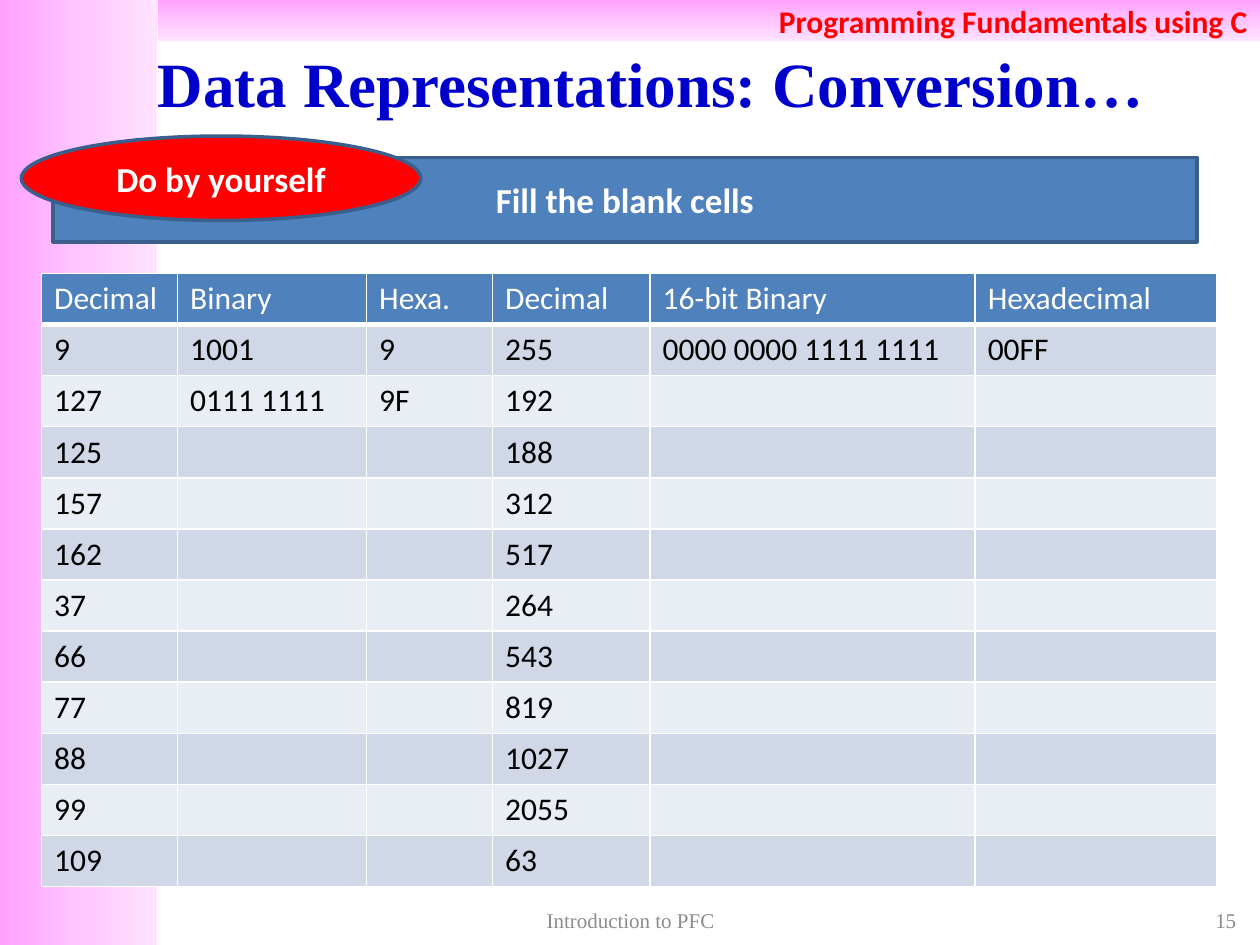
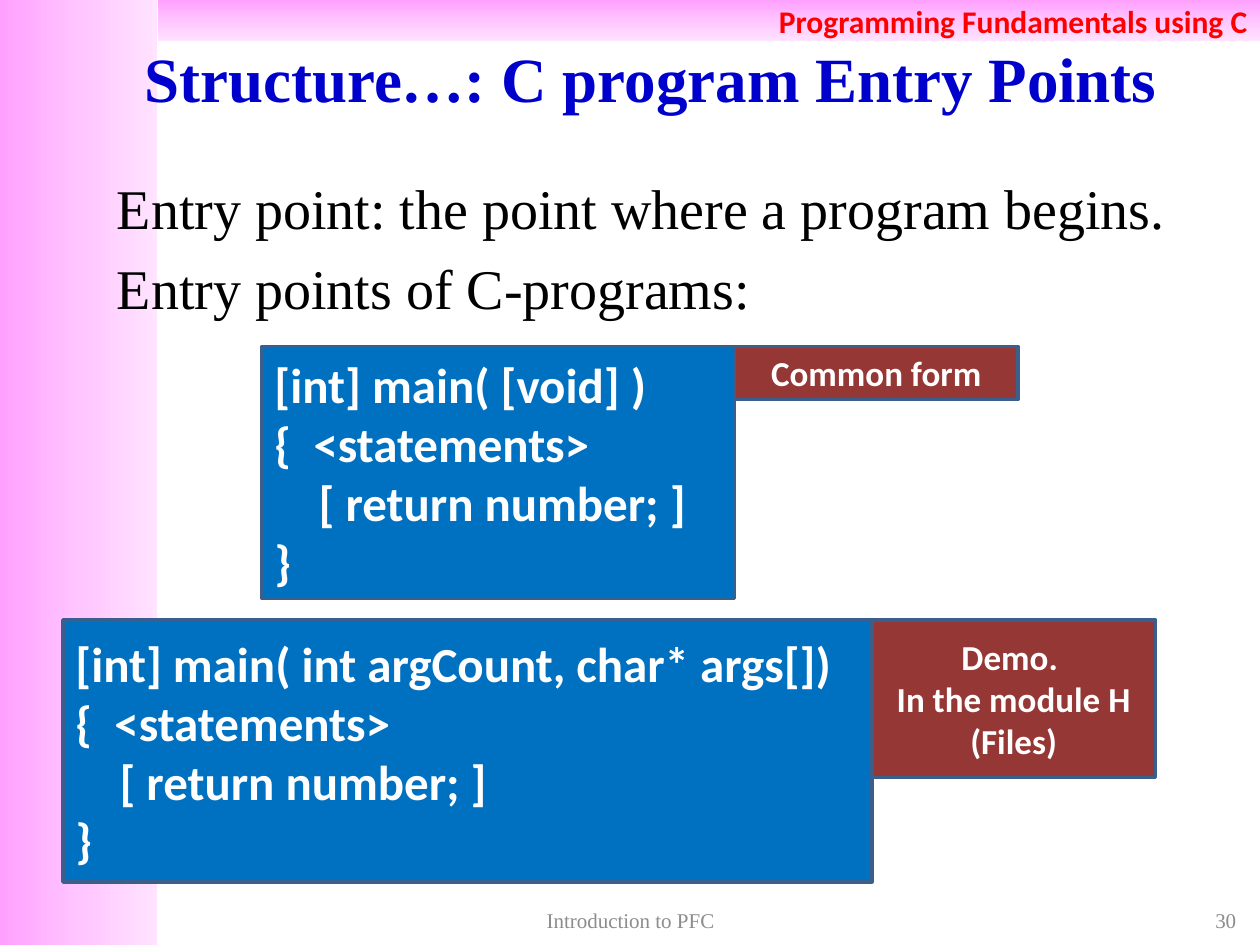
from lxml import etree
from pptx import Presentation
from pptx.dml.color import RGBColor
from pptx.enum.shapes import MSO_SHAPE
from pptx.enum.text import MSO_ANCHOR, PP_ALIGN
from pptx.oxml import parse_xml
from pptx.oxml.ns import nsdecls, qn
from pptx.util import Inches, Pt

WHITE = RGBColor(0xFF, 0xFF, 0xFF)
BLACK = RGBColor(0, 0, 0)
RED = RGBColor(0xFF, 0, 0)
TITLE_BLUE = RGBColor(0, 0, 0xCC)
GRAY = RGBColor(0x8C, 0x8C, 0x8C)
BLUE = RGBColor(0x4F, 0x81, 0xBD)
OUTLINE = RGBColor(0x3A, 0x5F, 0x8C)
CODE_BLUE = RGBColor(0, 0x70, 0xC0)
MAROON = RGBColor(0x95, 0x37, 0x35)
ROW_DARK = RGBColor(0xD0, 0xD8, 0xE8)
ROW_LIGHT = RGBColor(0xE9, 0xED, 0xF4)
PINKS = [(0, RGBColor(0xFF, 0xA0, 0xFF)),
         (50, RGBColor(0xFF, 0xC5, 0xFF)),
         (100, RGBColor(0xFF, 0xE3, 0xFF))]
SANS, SERIF = "Calibri", "Times New Roman"


# Text helpers
def add_run(p, text, size, color, font=SANS, bold=False):
    r = p.add_run()
    r.text = text
    r.font.size, r.font.name, r.font.bold = Pt(size), font, bold
    r.font.color.rgb = color


def write(sp, lines, size, color, font=SANS, bold=False,
          align=PP_ALIGN.CENTER, anchor=MSO_ANCHOR.MIDDLE):
    tf = sp.text_frame
    tf.word_wrap = True
    tf.vertical_anchor = anchor
    for i, line in enumerate(lines):
        p = tf.add_paragraph() if i else tf.paragraphs[0]
        p.alignment = align
        add_run(p, line, size, color, font, bold)
    return tf.paragraphs


def set_indent(p, left, first=0):
    pPr = p._p.get_or_add_pPr()
    pPr.set("marL", str(Inches(left)))
    pPr.set("indent", str(Inches(first)))


def add_tab_stop(p, pos):
    tabs = etree.SubElement(p._p.get_or_add_pPr(), qn("a:tabLst"))
    etree.SubElement(tabs, qn("a:tab"), pos=str(Inches(pos)), algn="l")


def add_text(s, at, lines, size, color, **style):
    sp = s.shapes.add_textbox(*map(Inches, at))
    return write(sp, lines, size, color, **style)


# Shapes
def add_box(s, at, fill, kind=MSO_SHAPE.RECTANGLE):
    sp = s.shapes.add_shape(kind, *map(Inches, at))
    sp.shadow.inherit = False
    sp.fill.solid()
    sp.fill.fore_color.rgb = fill
    sp.line.color.rgb = OUTLINE
    sp.line.width = Pt(2)
    return sp


def add_label(s, at, fill, lines, kind=MSO_SHAPE.RECTANGLE):
    write(add_box(s, at, fill, kind), lines, 20, WHITE, bold=True)


def add_code(s, at, signature):
    lines = [signature, "{\t<statements>", "[ return number; ]", "}"]
    ps = write(add_box(s, at, CODE_BLUE), lines, 28, WHITE, bold=True,
               align=PP_ALIGN.LEFT)
    add_tab_stop(ps[1], 0.31)
    set_indent(ps[2], 0.35)


def add_band(s, at, angle):
    sp = s.shapes.add_shape(MSO_SHAPE.RECTANGLE, *map(Inches, at))
    sp.shadow.inherit = False
    sp.line.fill.background()
    stops = "".join(f'<a:gs pos="{pos * 1000}"><a:srgbClr val="{color}"/></a:gs>'
                    for pos, color in PINKS)
    sp._element.spPr.find(qn("a:prstGeom")).addnext(parse_xml(
        f'<a:gradFill {nsdecls("a")} rotWithShape="1"><a:gsLst>{stops}</a:gsLst>'
        f'<a:lin ang="{angle * 60000}" scaled="0"/></a:gradFill>'))
    return sp


# Table
def set_borders(cell, bottom):
    tcPr = cell._tc.get_or_add_tcPr()
    for i, (side, width) in enumerate([("L", 1), ("R", 1), ("T", 1), ("B", bottom)]):
        tcPr.insert(i, parse_xml(
            f'<a:ln{side} {nsdecls("a")} w="{Pt(width)}"><a:solidFill>'
            f'<a:srgbClr val="{WHITE}"/></a:solidFill></a:ln{side}>'))


def add_grid(s, at, widths, rows):
    table = s.shapes.add_table(len(rows), len(widths), *map(Inches, at)).table
    for col, width in zip(table.columns, widths):
        col.width = Inches(width)
    for i, values in enumerate(rows):
        table.rows[i].height = Inches(at[3] / len(rows))
        fill = BLUE if i == 0 else ROW_DARK if i % 2 else ROW_LIGHT
        for cell, text in zip(table.rows[i].cells, values):
            cell.fill.solid()
            cell.fill.fore_color.rgb = fill
            set_borders(cell, 1 if i else 3)
            p = cell.text_frame.paragraphs[0]
            p.font.size = Pt(18)
            if text:
                add_run(p, text, 18, BLACK if i else WHITE)


# Bands, title and footer shared by the slides
def new_slide(prs, title, title_height, number):
    s = prs.slides.add_slide(prs.slide_layouts[6])
    add_band(s, (0, 0, 1.25, 7.5), 0)
    header = add_band(s, (1.25, 0, 8.75, 0.33), 90)
    write(header, ["Programming Fundamentals using C"], 18, RED, bold=True,
          align=PP_ALIGN.RIGHT)
    add_text(s, (0.83, 0.3, 8.67, title_height), [title], 36, TITLE_BLUE,
             font=SERIF, bold=True)
    add_text(s, (3.42, 7.17, 3.17, 0.27), ["Introduction to PFC"], 12, GRAY,
             font=SERIF)
    add_text(s, (7.58, 7.17, 2.33, 0.27), [number], 12, GRAY, font=SERIF,
             align=PP_ALIGN.RIGHT)
    return s


def conversion_slide(prs):
    s = new_slide(prs, "Data Representations: Conversion…", 0.7, "15")
    rows = [
        ("Decimal", "Binary", "Hexa.", "Decimal", "16-bit Binary", "Hexadecimal"),
        ("9", "1001", "9", "255", "0000 0000 1111 1111", "00FF"),
        ("127", "0111 1111", "9F", "192", "", ""),
    ]
    exercises = [(125, 188), (157, 312), (162, 517), (37, 264), (66, 543),
                 (77, 819), (88, 1027), (99, 2055), (109, 63)]
    rows += [(str(a), "", "", str(b), "", "") for a, b in exercises]
    add_grid(s, (0.33, 2.17, 9.33, 4.87), (1.08, 1.5, 1, 1.25, 2.58, 1.92), rows)
    add_label(s, (0.42, 1.25, 9.08, 0.67), BLUE, ["Fill the blank cells"])
    add_label(s, (0.17, 1.08, 3.17, 0.67), RED, ["Do by yourself"], MSO_SHAPE.OVAL)


def entry_points_slide(prs):
    s = new_slide(prs, "Structure…: C program Entry Points", 0.62, "30")
    body = add_text(s, (0.83, 1.33, 8.67, 1.25),
                    ["Entry point: the point where a program begins.",
                     "Entry points of C-programs:"],
                    32, BLACK, font=SERIF, align=PP_ALIGN.LEFT,
                    anchor=MSO_ANCHOR.TOP)
    for p in body:
        set_indent(p, 0.38, -0.38)
        p.space_before = Pt(7)
    add_code(s, (0.5, 4.92, 6.42, 2.08), "[int] main( int argCount, char* args[])")
    add_label(s, (6.92, 4.92, 2.25, 1.25), MAROON,
              ["Demo. ", "In the module H (Files)"])
    add_label(s, (5.83, 2.75, 2.25, 0.42), MAROON, ["Common form"])
    add_code(s, (2.08, 2.75, 3.75, 2), "[int] main( [void] )")


def main():
    prs = Presentation()
    prs.slide_width, prs.slide_height = Inches(10), Inches(7.5)
    conversion_slide(prs)
    entry_points_slide(prs)
    prs.save("out.pptx")


main()
